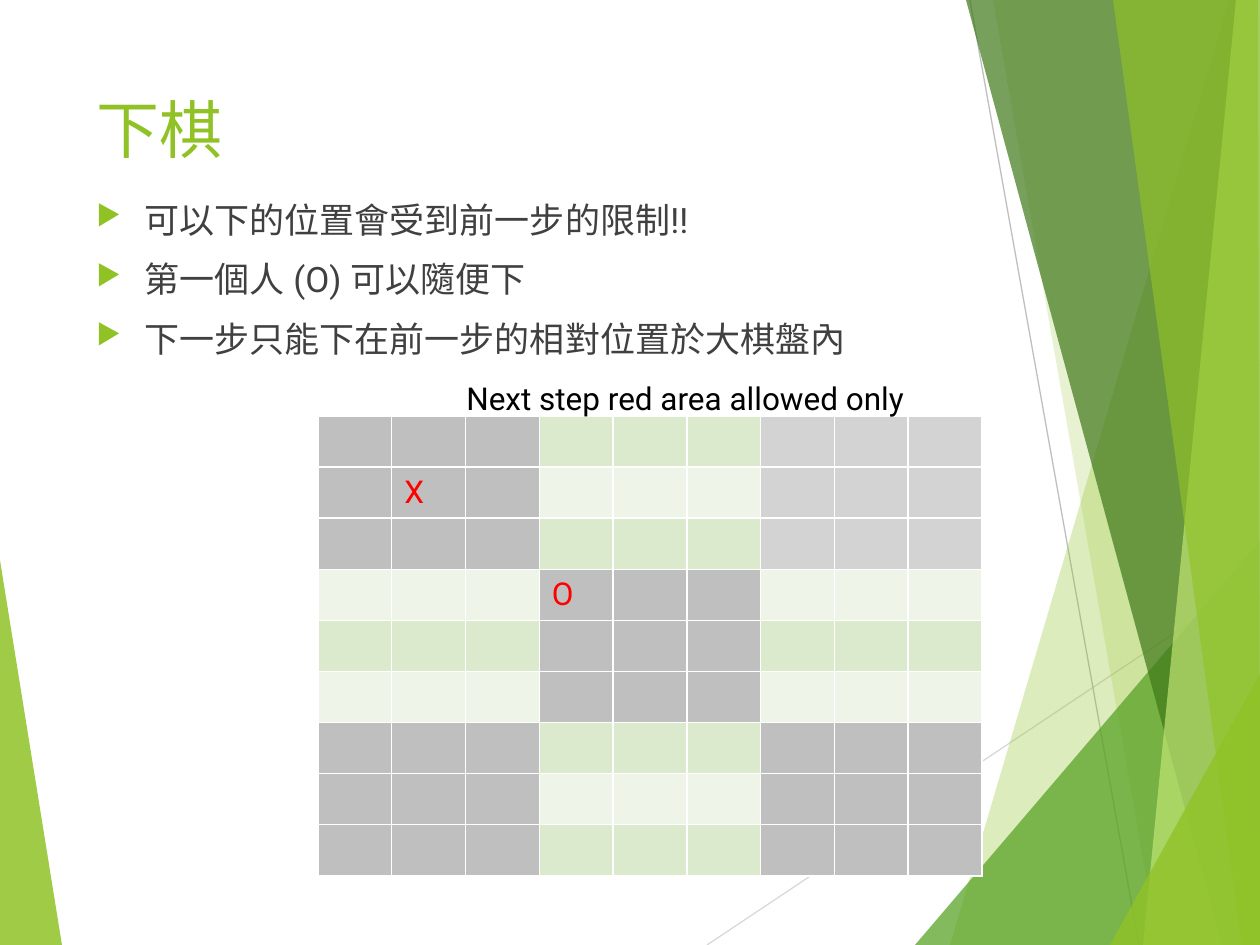
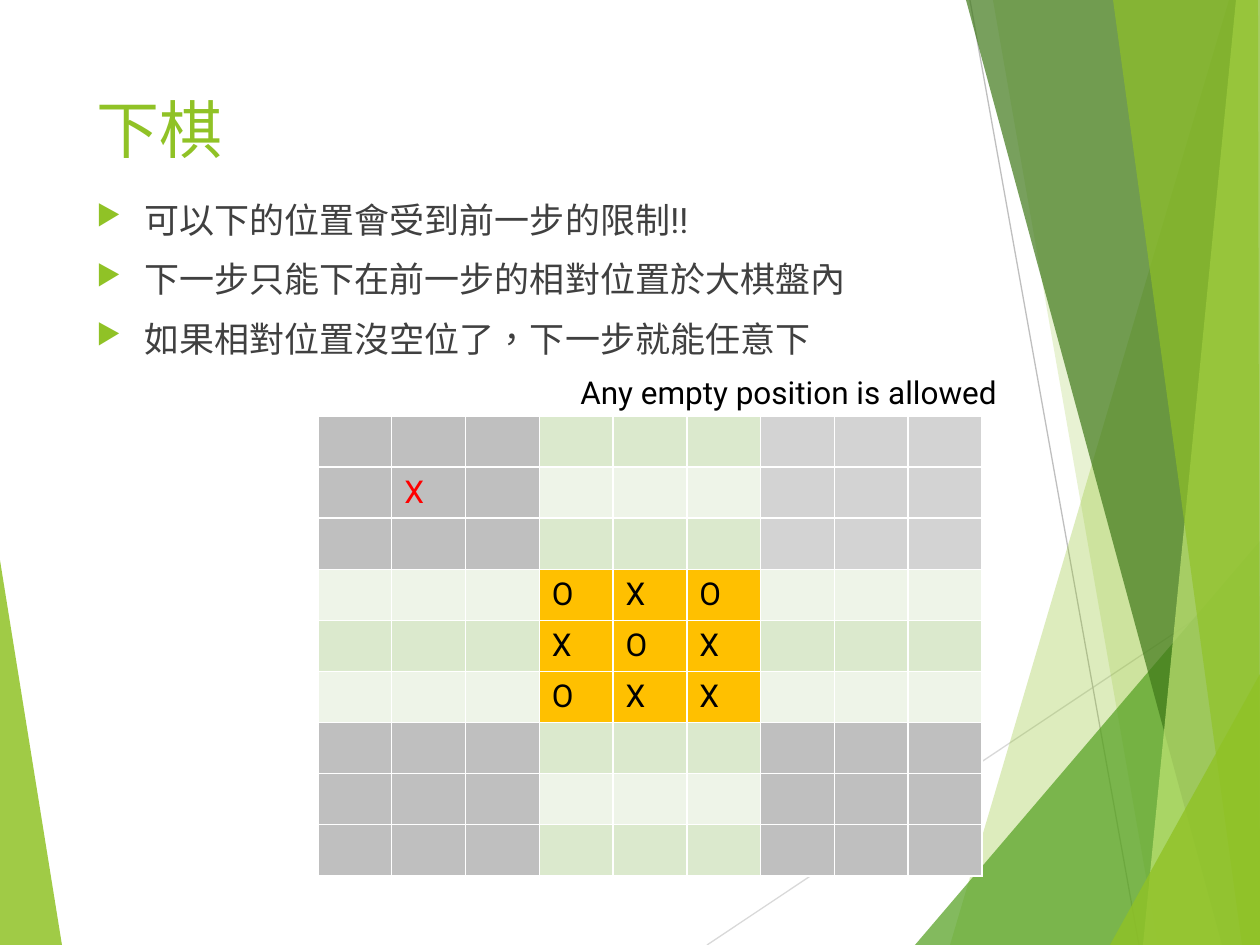
from lxml import etree
from pptx import Presentation
from pptx.dml.color import RGBColor
from pptx.enum.shapes import MSO_CONNECTOR
from pptx.enum.text import MSO_ANCHOR, MSO_AUTO_SIZE
from pptx.oxml import parse_xml
from pptx.oxml.ns import nsdecls, qn
from pptx.util import Emu, Pt

PX = 914400 / 126
FONT = "Roboto"
LIME = RGBColor(0x90, 0xC2, 0x26)
GREEN = RGBColor(0x54, 0xA0, 0x21)
FOREST = RGBColor(0x3F, 0x78, 0x19)
PALE_LIME = RGBColor(0xC0, 0xE4, 0x74)
MINT = RGBColor(0xDB, 0xE9, 0xCD)
PALE_MINT = RGBColor(0xEE, 0xF4, 0xE8)
GREY = RGBColor(0xBF, 0xBF, 0xBF)
LIGHT_GREY = RGBColor(0xD3, 0xD3, 0xD3)
RULE_GREY = RGBColor(0xD9, 0xD9, 0xD9)
AMBER = RGBColor(0xFF, 0xC0, 0x00)
RED = RGBColor(0xFF, 0x00, 0x00)
BLACK = RGBColor(0x00, 0x00, 0x00)
CHARCOAL = RGBColor(0x40, 0x40, 0x40)


def px(*lengths):
    return [Emu(round(length * PX)) for length in lengths]


def add_run(paragraph, text, size, color):
    run = paragraph.add_run()
    run.text = text
    run.font.size = Pt(size)
    run.font.name = FONT
    run.font.color.rgb = color
    properties = run.font._element
    properties.set("lang", "zh-TW")
    east_asian = etree.SubElement(properties, qn("a:ea"))
    east_asian.set("typeface", FONT)


# Backdrop, from back to front
rays = [((707, 945), (1260, 576), RULE_GREY), ((970, 0), (1139, 945), GREY)]
# colour, opacity in percent, corners
facets = [
    (LIME, 85, [(0, 560), (62, 945), (0, 945)]),
    (LIME, 30, [(1229, 0), (950, 945), (1260, 945), (1260, 0)]),
    (LIME, 20, [(993, 0), (1158, 945), (1260, 945), (1260, 0)]),
    (GREEN, 72, [(915, 945), (1260, 541), (1260, 945)]),
    (FOREST, 70, [(966, 0), (1222, 945), (1260, 945), (1260, 0)]),
    (PALE_LIME, 70, [(1236, 0), (1143, 945), (1260, 945), (1260, 0)]),
    (LIME, 65, [(1113, 0), (1242, 945), (1260, 945), (1258, 0)]),
    (LIME, 80, [(1110, 945), (1260, 674), (1260, 945)]),
]

# The moves on a board map (row, column) to a mark and its colour
full_block = ["OXO", "XOX", "OXX"]
last_move = {(1, 1): ("X", RED)}
boards = [
    {
        "rules": ["可以下的位置會受到前一步的限制!!",
                  "第一個人 (O) 可以隨便下",
                  "下一步只能下在前一步的相對位置於大棋盤內"],
        "caption": "Next step red area allowed only",
        "caption_at": (454, 373),
        "moves": last_move | {(3, 3): ("O", RED)},
        "center": GREY,
    },
    {
        "rules": ["可以下的位置會受到前一步的限制!!",
                  "下一步只能下在前一步的相對位置於大棋盤內",
                  "如果相對位置沒空位了，下一步就能任意下"],
        "caption": "Any empty position is allowed",
        "caption_at": (568, 367),
        "moves": last_move | {(3 + r, 3 + c): (mark, BLACK)
                              for r, marks in enumerate(full_block)
                              for c, mark in enumerate(marks)},
        "center": AMBER,
    },
]

prs = Presentation()
prs.slide_width, prs.slide_height = px(1260, 945)
layout = prs.slide_layouts[5]
for placeholder in list(layout.placeholders):
    if placeholder.placeholder_format.idx != 0:
        placeholder._element.getparent().remove(placeholder._element)

slides = [prs.slides.add_slide(layout) for _ in boards]

# The backdrop is drawn once, then moved to the shared layout
canvas = slides[0].shapes
backdrop = []
for start, end, color in rays:
    ray = canvas.add_connector(MSO_CONNECTOR.STRAIGHT, *px(*start, *end))
    ray.line.color.rgb = color
    ray.line.width = Pt(0.75)
    etree.SubElement(ray._element.spPr, qn("a:effectLst"))
    backdrop.append(ray)
for color, opacity, corners in facets:
    outline = canvas.build_freeform(*corners[0], scale=PX)
    outline.add_line_segments(corners[1:], close=True)
    facet = outline.convert_to_shape()
    facet.shadow.inherit = False
    facet.line.fill.background()
    facet.fill.solid()
    facet.fill.fore_color.rgb = color
    tint = facet._element.spPr.find(".//" + qn("a:srgbClr"))
    etree.SubElement(tint, qn("a:alpha")).set("val", str(opacity * 1000))
    backdrop.append(facet)
for part in backdrop:
    layout.shapes._spTree.append(part._element)

for slide, board in zip(slides, boards):
    title = slide.shapes.title
    title.left, title.top, title.width, title.height = px(84, 84, 874, 181)
    title.text_frame.vertical_anchor = MSO_ANCHOR.TOP
    heading = title.text_frame.paragraphs[0]
    heading.alignment = 1
    add_run(heading, "下棋", 36, LIME)

    rules = slide.shapes.add_textbox(*px(84, 192, 982, 534)).text_frame
    rules.word_wrap = True
    for i, rule in enumerate(board["rules"]):
        item = rules.add_paragraph() if i else rules.paragraphs[0]
        item.space_before = Pt(10)
        add_run(item, rule, 20, CHARCOAL)
        indent = px(48)[0]
        layout_props = item._p.get_or_add_pPr()
        layout_props.set("marL", str(indent))
        layout_props.set("indent", str(-indent))
        bullet_color = etree.SubElement(layout_props, qn("a:buClr"))
        etree.SubElement(bullet_color, qn("a:srgbClr")).set("val", str(LIME))
        etree.SubElement(layout_props, qn("a:buSzPct")).set("val", "80000")
        etree.SubElement(layout_props, qn("a:buChar")).set("char", "▶")

    grid = slide.shapes.add_table(9, 9, *px(318, 416, 664, 460)).table
    grid.first_row = grid.horz_banding = False
    for row in range(9):
        for col in range(9):
            cell = grid.cell(row, col)
            cell.margin_top = cell.margin_bottom = 0
            cell.vertical_anchor = MSO_ANCHOR.MIDDLE
            for side in ("lnL", "lnR", "lnT", "lnB"):
                cell._tc.get_or_add_tcPr().append(parse_xml(
                    f'<a:{side} {nsdecls("a")} w="12700"><a:solidFill>'
                    f'<a:srgbClr val="FFFFFF"/></a:solidFill></a:{side}>'))
            block = (row // 3, col // 3)
            if block == (1, 1):
                color = board["center"]
            elif block == (0, 2):
                color = LIGHT_GREY
            elif sum(block) % 2 == 0:
                color = GREY
            else:
                color = PALE_MINT if row % 2 else MINT
            cell.fill.solid()
            cell.fill.fore_color.rgb = color
            if (row, col) in board["moves"]:
                mark, ink = board["moves"][row, col]
                add_run(cell.text_frame.paragraphs[0], mark, 18, ink)

    caption = slide.shapes.add_textbox(*px(*board["caption_at"], 491, 50)).text_frame
    caption.word_wrap = True
    caption.auto_size = MSO_AUTO_SIZE.SHAPE_TO_FIT_TEXT
    add_run(caption.paragraphs[0], board["caption"], 18, BLACK)

prs.save("out.pptx")
